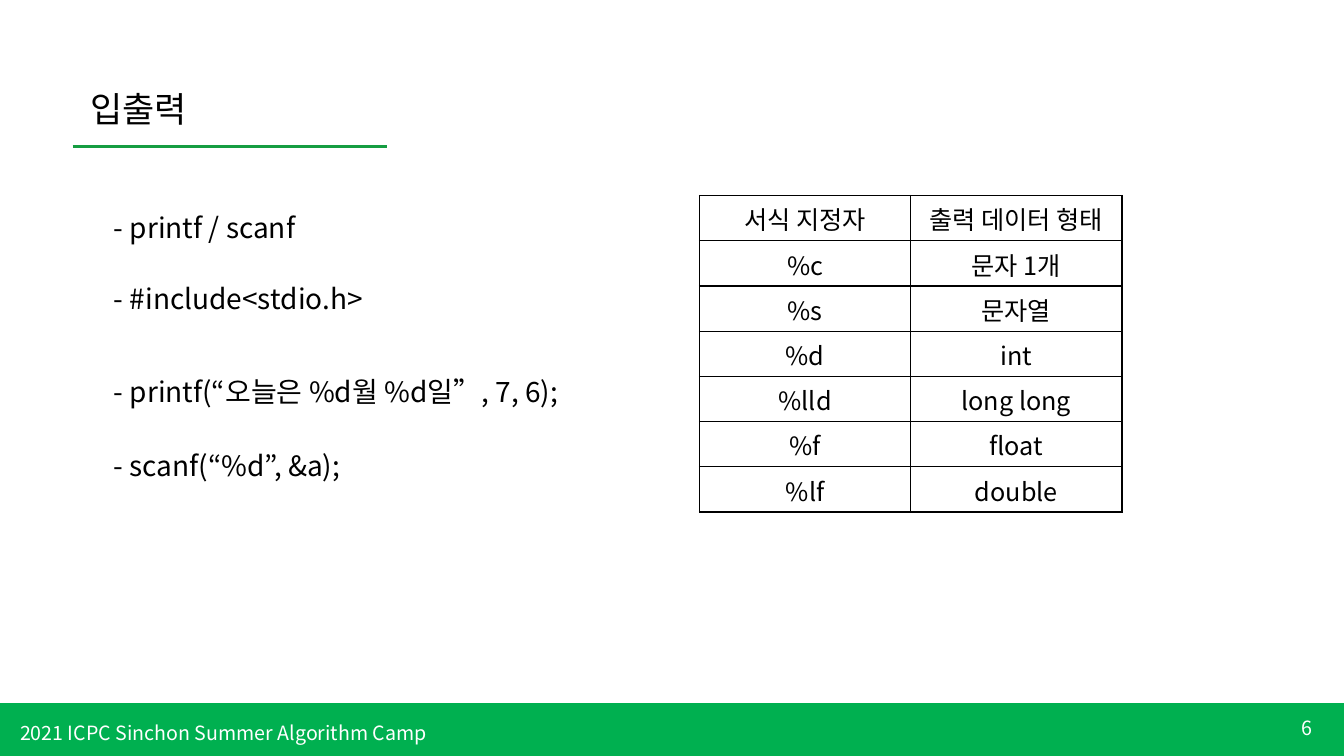
from dataclasses import dataclass

from lxml.etree import SubElement
from pptx import Presentation
from pptx.dml.color import RGBColor as Rgb
from pptx.enum.shapes import MSO_CONNECTOR as Link, MSO_SHAPE as Shape
from pptx.enum.text import MSO_ANCHOR as Anchor, MSO_AUTO_SIZE as Fit, PP_ALIGN as Align
from pptx.oxml.ns import qn
from pptx.util import Inches, Pt

WIDE, HIGH = Inches(13.33), Inches(7.5)


@dataclass(frozen=True)
class Theme:
    font: str = "Noto Sans CJK KR"
    ink: str = "000000"
    paper: str = "FFFFFF"
    band: str = "00B050"
    rule: str = "159D41"
    title: int = 25
    body: int = 20
    cell: int = 18
    foot: int = 14


THEME = Theme()
NOTES = (
    # text, top and width in percent
    ("- printf / scanf", 27.2, 31.43),
    ("- #include<stdio.h>", 36.53, 31.43),
    ("- printf(“오늘은 %d월 %d일”, 7, 6);", 48.93, 34.65),
    ("- scanf(“%d”, &a);", 58.67, 34.65),
)
FORMATS = (
    ("서식 지정자", "출력 데이터 형태"),
    ("%c", "문자 1개"),
    ("%s", "문자열"),
    ("%d", "int"),
    ("%lld", "long long"),
    ("%f", "float"),
    ("%lf", "double"),
)


def area(left, top, width, height):
    """Turn percentages of the slide into lengths."""
    return (int(WIDE * left / 100), int(HIGH * top / 100),
            int(WIDE * width / 100), int(HIGH * height / 100))


def write(frame, text, size=THEME.body, color=THEME.ink, align=Align.LEFT):
    par = frame.paragraphs[0]
    par.alignment = align
    run = par.add_run()
    run.text = text
    font = run.font
    font.name, font.size = THEME.font, Pt(size)
    font.color.rgb = Rgb.from_string(color)
    SubElement(font._element, qn("a:ea"), typeface=THEME.font)


def label(slide, text, box, anchor=Anchor.TOP, fit=Fit.SHAPE_TO_FIT_TEXT, **style):
    frame = slide.shapes.add_textbox(*area(*box)).text_frame
    frame.word_wrap = True
    frame.vertical_anchor = anchor
    frame.auto_size = fit
    write(frame, text, **style)


def band(slide, box):
    bar = slide.shapes.add_shape(Shape.RECTANGLE, *area(*box))
    bar.shadow.inherit = False
    bar.fill.solid()
    bar.fill.fore_color.rgb = bar.line.color.rgb = Rgb.from_string(THEME.band)
    bar.line.width = Pt(1)


def rule(slide, left, top, width):
    x, y, span, _ = area(left, top, width, 0)
    line = slide.shapes.add_connector(Link.STRAIGHT, x, y, x + span, y)
    line.line.color.rgb = Rgb.from_string(THEME.rule)
    line.line.width = Pt(2.25)
    SubElement(line._element.spPr, qn("a:effectLst"))


def border(cell):
    """Draw all four sides; sides must precede the fill in the XML."""
    props = cell._tc.get_or_add_tcPr()
    for side in ("lnL", "lnR", "lnT", "lnB"):
        edge = SubElement(props, qn(f"a:{side}"), w=str(Pt(1)))
        fill = SubElement(edge, qn("a:solidFill"))
        SubElement(fill, qn("a:srgbClr"), val=THEME.ink)


def grid(slide, rows, box):
    frame = slide.shapes.add_table(len(rows), len(rows[0]), *area(*box))
    table = frame.table
    table.first_row = table.horz_banding = False
    for r, row in enumerate(rows):
        for c, text in enumerate(row):
            cell = table.cell(r, c)
            border(cell)
            cell.fill.background()
            write(cell.text_frame, text, size=THEME.cell, align=Align.CENTER)


def main():
    deck = Presentation()
    deck.slide_width, deck.slide_height = WIDE, HIGH
    slide = deck.slides.add_slide(deck.slide_layouts[6])

    band(slide, (0, 93.07, 100, 6.93))
    foot = dict(size=THEME.foot, color=THEME.paper)
    label(slide, "6", (90.9, 93.6, 7.5, 5.33), anchor=Anchor.MIDDLE,
          fit=Fit.NONE, align=Align.RIGHT, **foot)
    label(slide, "2021 ICPC Sinchon Summer Algorithm Camp",
          (0.75, 94.67, 43.2, 4.53), **foot)

    rule(slide, 5.4, 19.33, 23.4)
    label(slide, "입출력", (6, 10.93, 23.4, 6.93), size=THEME.title)
    for text, top, width in NOTES:
        label(slide, text, (7.73, top, width, 5.87))
    grid(slide, FORMATS, (52.05, 25.87, 31.43, 41.87))
    deck.save("out.pptx")


if __name__ == "__main__":
    main()
